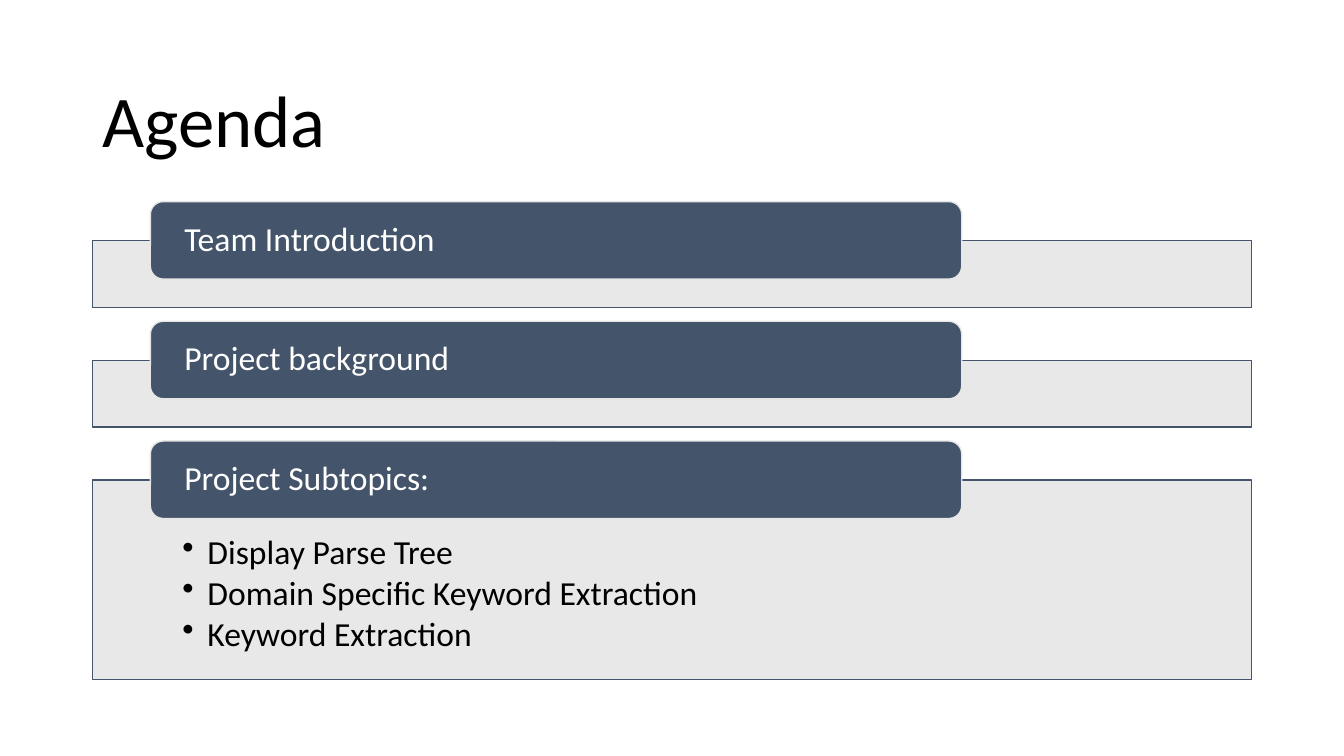
import dataclasses

import lxml.etree
import pptx
import pptx.dml.color
import pptx.enum.shapes
import pptx.enum.text
import pptx.oxml.ns
import pptx.util

COLORS = {"slate": "44546A", "mist": "E7E6E6", "ink": "000000", "white": "FFFFFF"}
FONT = "Calibri"
KINDS = pptx.enum.shapes.MSO_SHAPE
ANCHORS = pptx.enum.text.MSO_ANCHOR

deck = pptx.Presentation()
deck.slide_width = pptx.util.Inches(13.333)
deck.slide_height = pptx.util.Inches(7.5)
slide = deck.slides.add_slide(deck.slide_layouts[6])

COL = deck.slide_width / 16
ROW = deck.slide_height / 12
LEFT, WIDTH = 1.1, 13.8
FIRST, PITCH = 3.2, 1.9
TAB_LEFT, TAB_WIDTH, TAB_HEIGHT = 1.79, 9.66, 1.23
BAR_DROP = 0.62


@dataclasses.dataclass
class Topic:
    title: str
    height: float = 1.06
    points: tuple[str, ...] = ()


TOPICS = [
    Topic("Team Introduction"),
    Topic("Project background"),
    Topic(
        "Project Subtopics:",
        3.17,
        ("Display Parse Tree", "Domain Specific Keyword Extraction", "Keyword Extraction"),
    ),
]


def place(left: float, top: float, width: float, height: float) -> list[int]:
    return [round(left * COL), round(top * ROW), round(width * COL), round(height * ROW)]


def color(name: str) -> pptx.dml.color.RGBColor:
    return pptx.dml.color.RGBColor.from_string(COLORS[name])


def write(shape, lines: tuple[str, ...], size: float, ink: str, anchor, after: float = 0) -> None:
    frame = shape.text_frame
    frame.word_wrap = True
    frame.vertical_anchor = anchor
    frame.text = "\n".join(lines)
    for para in frame.paragraphs:
        para.alignment = pptx.enum.text.PP_ALIGN.LEFT
        para.line_spacing = 0.9
        para.space_after = pptx.util.Pt(after)
        for run in para.runs:
            run.font.name = FONT
            run.font.size = pptx.util.Pt(size)
            run.font.color.rgb = color(ink)


def pad(shape, side: float, top: float = 0, base: float = 0) -> None:
    frame = shape.text_frame
    frame.margin_left = frame.margin_right = round(side * COL)
    frame.margin_top = round(top * ROW)
    frame.margin_bottom = round(base * ROW)


def block(kind, spot: list[int], fill: str, line: str):
    shape = slide.shapes.add_shape(kind, *spot)
    shape.shadow.inherit = False
    shape.fill.solid()
    shape.fill.fore_color.rgb = color(fill)
    shape.line.color.rgb = color(line)
    shape.line.width = pptx.util.Pt(1)
    return shape


def fade(shape, share: float) -> None:
    tone = shape.fill._xPr.find(".//" + pptx.oxml.ns.qn("a:srgbClr"))
    alpha = lxml.etree.SubElement(tone, pptx.oxml.ns.qn("a:alpha"))
    alpha.set("val", str(round(share * 100000)))


def bullet(para) -> None:
    props = para._p.get_or_add_pPr()
    step = pptx.util.Inches(0.25)
    props.set("marL", str(step))
    props.set("indent", str(-step))
    mark = lxml.etree.SubElement(props, pptx.oxml.ns.qn("a:buChar"))
    mark.set("char", "•")


def draw(topic: Topic, top: float) -> None:
    spot = place(LEFT, top + BAR_DROP, WIDTH, topic.height)
    bar = block(KINDS.RECTANGLE, spot, "mist", "slate")
    fade(bar, 0.9)
    if topic.points:
        pad(bar, 1.07, 0.88, 0.3)
        write(bar, topic.points, 24, "ink", ANCHORS.TOP, 3.3)
        for para in bar.text_frame.paragraphs:
            bullet(para)
    spot = place(TAB_LEFT, top, TAB_WIDTH, TAB_HEIGHT)
    tab = block(KINDS.ROUNDED_RECTANGLE, spot, "slate", "mist")
    pad(tab, 0.36)
    write(tab, (topic.title,), 24, "white", ANCHORS.MIDDLE)


head = slide.shapes.add_textbox(*place(LEFT, 0.98, WIDTH, 1.98))
write(head, ("Agenda",), 52, "ink", ANCHORS.MIDDLE)
for index, topic in enumerate(TOPICS):
    draw(topic, FIRST + index * PITCH)

deck.save("out.pptx")
